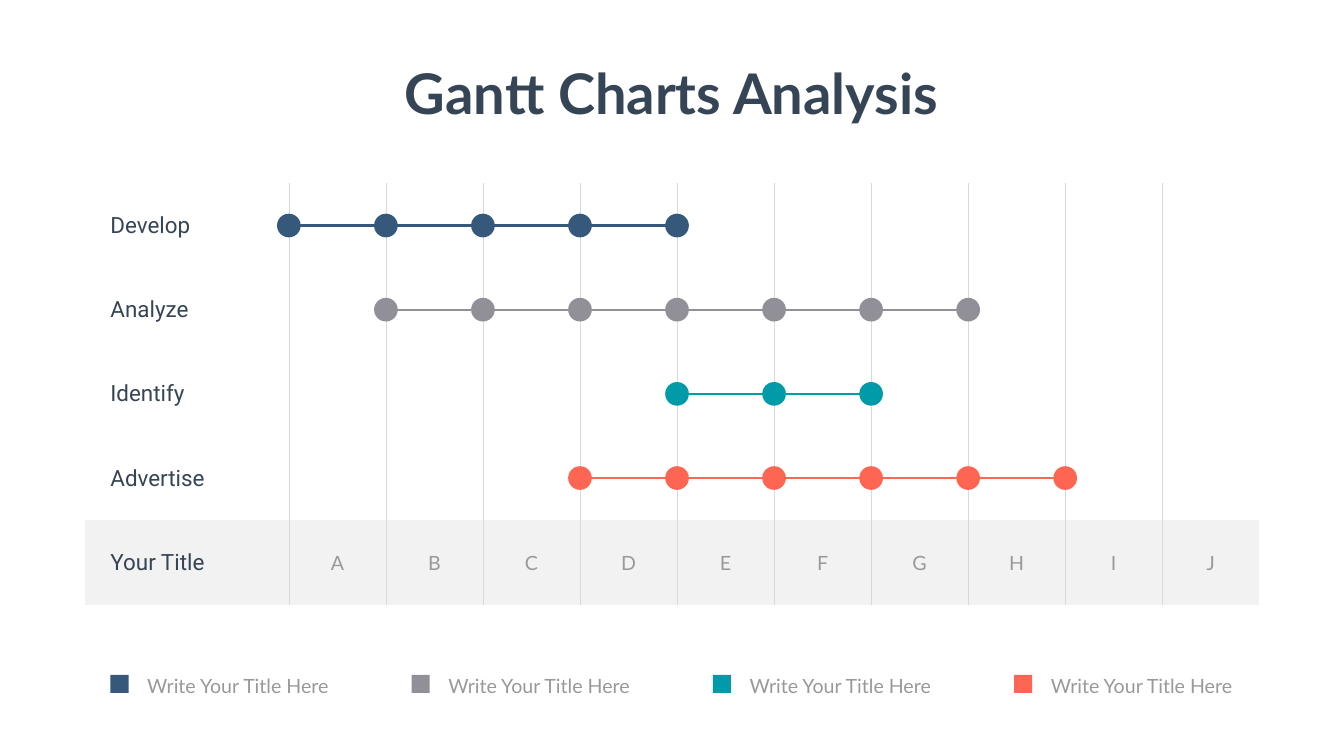
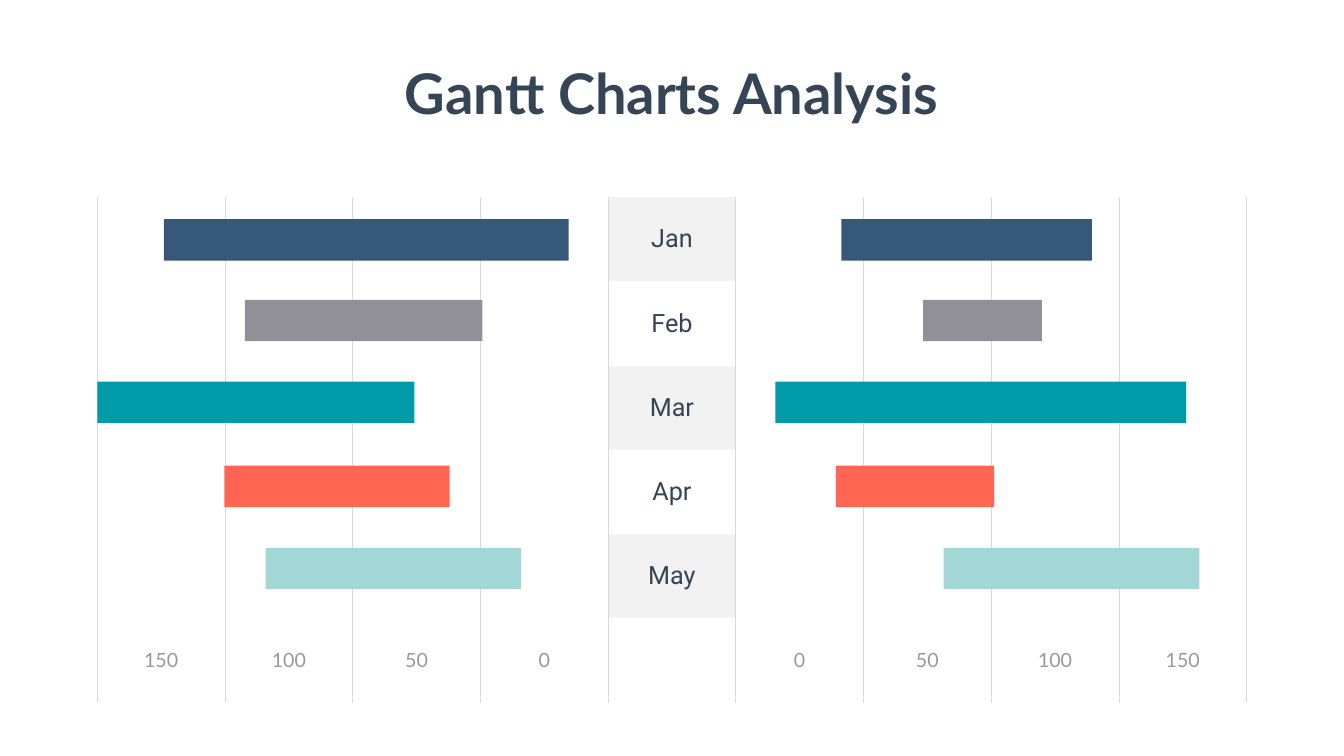
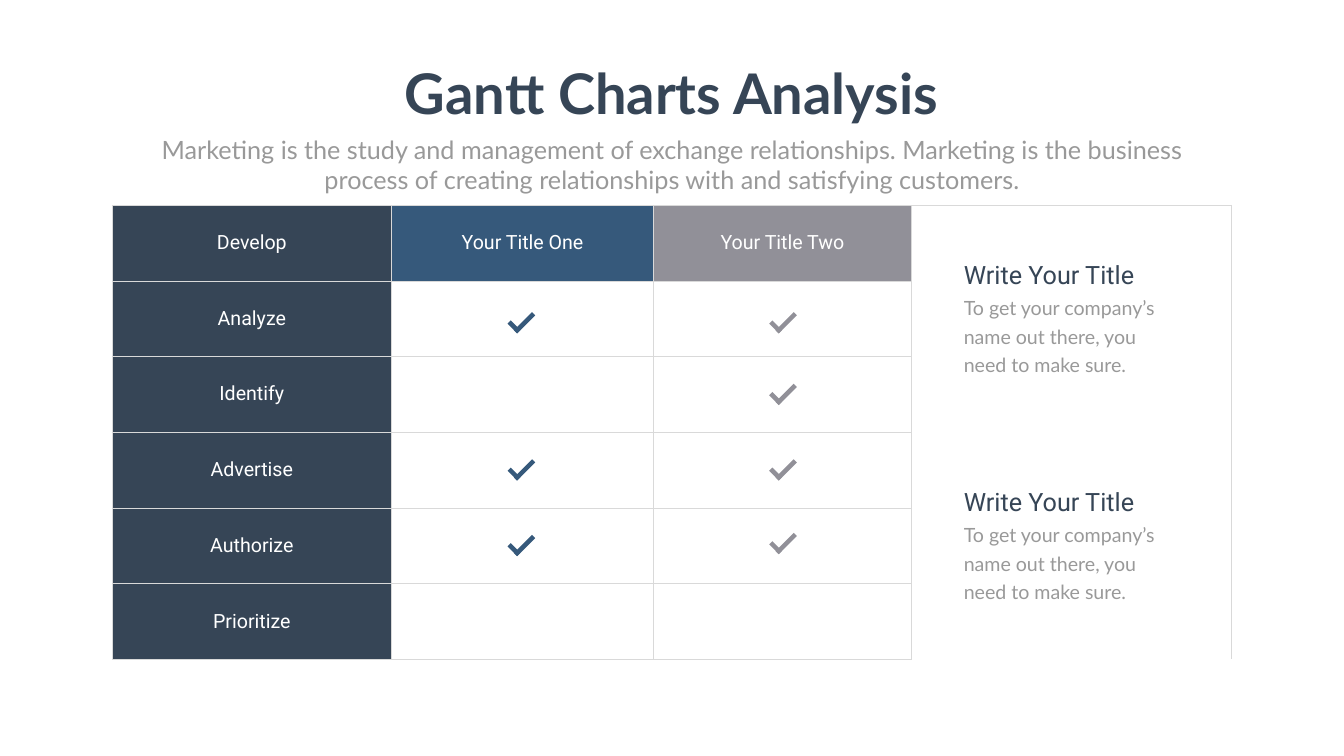
from dataclasses import dataclass

from pptx import Presentation
from pptx.dml.color import RGBColor
from pptx.enum.shapes import MSO_CONNECTOR, MSO_SHAPE
from pptx.enum.text import MSO_ANCHOR, MSO_AUTO_SIZE, PP_ALIGN
from pptx.oxml import parse_xml
from pptx.oxml.ns import nsdecls
from pptx.util import Inches, Pt


@dataclass(frozen=True)
class Theme:
    ink: str = "364556"
    gray: str = "999999"
    rule: str = "D9D9D9"
    band: str = "F2F2F2"
    white: str = "FFFFFF"
    navy: str = "36597B"
    stone: str = "919098"
    teal: str = "009AA8"
    coral: str = "FE6653"
    mint: str = "A3D7D7"
    sans: str = "Lato"
    label: str = "Roboto"
    title: int = 80
    large: int = 36
    mid: int = 32
    small: int = 28
    lead: float = 40.8


T = Theme()
HUES = [T.navy, T.stone, T.teal, T.coral, T.mint]


# ---- Text ----
def style(para, font, size, color, align=PP_ALIGN.LEFT, bold=False):
    para.alignment = align
    for run in para.runs:
        run.font.name = font
        run.font.size = Pt(size)
        run.font.bold = bold
        run.font.color.rgb = RGBColor.from_string(color)


def place(shape, left, top, width, height):
    shape.left, shape.top = Inches(left), Inches(top)
    shape.width, shape.height = Inches(width), Inches(height)


def add_text(slide, box, text, font, size, color, lead=None, inset=(0.1, 0.05)):
    frame = slide.shapes.add_textbox(*map(Inches, box)).text_frame
    frame.word_wrap = True
    frame.auto_size = MSO_AUTO_SIZE.SHAPE_TO_FIT_TEXT
    frame.margin_left = frame.margin_right = Inches(inset[0])
    frame.margin_top = frame.margin_bottom = Inches(inset[1])
    frame.text = text
    para = frame.paragraphs[0]
    if lead:
        para.line_spacing = Pt(lead)
    style(para, font, size, color)


def add_page(deck, layout):
    slide = deck.slides.add_slide(deck.slide_layouts[layout])
    title = slide.shapes.title
    place(title, 7.77, 1.12, 11.11, 1.45)
    frame = title.text_frame
    frame.text = "Gantt Charts Analysis"
    frame.word_wrap = False
    frame.auto_size = MSO_AUTO_SIZE.SHAPE_TO_FIT_TEXT
    frame.vertical_anchor = MSO_ANCHOR.TOP
    style(frame.paragraphs[0], T.sans, T.title, T.ink, PP_ALIGN.CENTER, True)
    return slide


def fill_body(slide, text):
    body = slide.placeholders[1]
    place(body, 2.92, 2.61, 20.82, 1.31)
    frame = body.text_frame
    frame.text = text
    frame.auto_size = MSO_AUTO_SIZE.NONE
    para = frame.paragraphs[0]
    props = para._p.get_or_add_pPr()
    props.set("marL", "0")
    props.set("indent", "0")
    props.append(parse_xml(f"<a:buNone {nsdecls('a')}/>"))
    para.space_before = Pt(0)
    style(para, T.sans, T.large, T.gray, PP_ALIGN.CENTER)


# ---- Shapes ----
def add_form(slide, kind, box, color, turn=0):
    shape = slide.shapes.add_shape(kind, *map(Inches, box))
    shape.shadow.inherit = False
    shape.fill.solid()
    shape.fill.fore_color.rgb = RGBColor.from_string(color)
    shape.line.fill.background()
    shape.rotation = turn


def add_line(slide, start, end, y, color):
    line = slide.shapes.add_connector(
        MSO_CONNECTOR.STRAIGHT, Inches(start), Inches(y), Inches(end), Inches(y))
    line.line.color.rgb = RGBColor.from_string(color)
    line.line.width = Pt(3)
    line._element.spPr.append(parse_xml(f"<a:effectLst {nsdecls('a')}/>"))


def add_check(slide, x, y, color):
    add_form(slide, MSO_SHAPE.RECTANGLE, (x, y + 0.08, 0.27, 0.09), color, 45)
    add_form(slide, MSO_SHAPE.RECTANGLE, (x + 0.09, y, 0.51, 0.09), color, 135)


# ---- Tables ----
def add_grid(slide, box, rows, widths):
    table = slide.shapes.add_table(rows, len(widths), *map(Inches, box)).table
    table.first_row = table.horz_banding = False
    for col, width in zip(table.columns, widths):
        col.width = Inches(width)
    for row in table.rows:
        row.height = Inches(box[3] / rows)
    return table


def paint(cell, fill, sides):
    cell.fill.solid()
    cell.fill.fore_color.rgb = RGBColor.from_string(fill)
    props = cell._tc.get_or_add_tcPr()
    for i, side in enumerate("LRTB"):
        ink = "<a:noFill/>"
        if side in sides:
            ink = f'<a:solidFill><a:srgbClr val="{T.rule}"/></a:solidFill>'
        props.insert(i, parse_xml(
            f'<a:ln{side} {nsdecls("a")} w="12700">{ink}</a:ln{side}>'))


def write(cell, text, font, size, color, align=PP_ALIGN.CENTER):
    cell.text = text
    cell.vertical_anchor = MSO_ANCHOR.MIDDLE
    style(cell.text_frame.paragraphs[0], font, size, color, align)


# ---- Slides ----
def dot_page(deck):
    slide = add_page(deck, 5)
    left, top, first, step, high = 1.69, 3.64, 4.04, 1.925, 1.67
    tasks = ["Develop", "Analyze", "Identify", "Advertise", "Your Title"]
    table = add_grid(slide, (left, top, 23.29, 8.36), 5, [first] + [step] * 10)
    for r, task in enumerate(tasks):
        for c in range(11):
            sides = "R" if c == 0 else "L" if c == 10 else "LR"
            paint(table.cell(r, c), T.band if r == 4 else T.white, sides)
        head = table.cell(r, 0)
        write(head, task, T.label, T.mid, T.ink, PP_ALIGN.LEFT)
        head.margin_left = Inches(0.5)
    for c, mark in enumerate("ABCDEFGHIJ", 1):
        write(table.cell(4, c), mark, T.sans, T.small, T.gray)

    # Dots sit on the column rules, from the first to the last of each task
    size = 0.47
    for r, (start, end) in enumerate([(0, 4), (1, 7), (4, 6), (3, 8)]):
        y = top + high * (r + 0.5)
        spots = [left + first + step * i for i in range(start, end + 1)]
        add_line(slide, spots[0], spots[-1], y, HUES[r])
        for x in spots:
            add_form(slide, MSO_SHAPE.OVAL,
                     (x - size / 2, y - size / 2, size, size), HUES[r])

    # Legend
    for i, color in enumerate(HUES[:4]):
        x = 2.19 + 5.975 * i
        add_form(slide, MSO_SHAPE.RECTANGLE, (x, 13.39, 0.36, 0.36), color)
        add_text(slide, (x + 0.49, 13.15, 4.25, 0.75), "Write Your Title Here",
                 T.sans, T.small, T.gray, T.lead, (0.24, 0.12))


def bar_page(deck):
    slide = add_page(deck, 5)
    table = add_grid(slide, (1.93, 3.91, 22.8, 10.03), 6, [22.8 / 9] * 9)
    for r in range(6):
        for c in range(9):
            shade = c == 4 and r in (0, 2, 4)
            paint(table.cell(r, c), T.band if shade else T.white, "LR")
    for r, month in enumerate(["Jan", "Feb", "Mar", "Apr", "May"]):
        write(table.cell(r, 4), month, T.label, T.large, T.ink)
    for i, tick in enumerate(["0", "50", "100", "150"]):
        for c in (3 - i, 5 + i):
            write(table.cell(5, c), tick, T.sans, T.small, T.gray)

    # Top, then left and width of the bar on each side
    bars = [
        (4.35, (3.25, 8.03), (16.69, 4.97)),
        (5.95, (4.86, 4.71), (18.31, 2.36)),
        (7.57, (1.93, 6.29), (15.38, 8.15)),
        (9.24, (4.45, 4.47), (16.58, 3.14)),
        (10.87, (5.27, 5.07), (18.72, 5.07)),
    ]
    for (y, *pair), color in zip(bars, HUES):
        for x, width in pair:
            add_form(slide, MSO_SHAPE.RECTANGLE, (x, y, width, 0.82), color)


def check_page(deck):
    slide = add_page(deck, 1)
    fill_body(slide, "Marketing is the study and management of exchange "
              "relationships. Marketing is the business process of creating "
              "relationships with and satisfying customers.")
    table = add_grid(slide, (2.22, 4.07, 22.21, 9.01), 6, [5.55, 5.19, 5.12, 6.34])
    tasks = ["Develop", "Analyze", "Identify", "Advertise", "Authorize", "Prioritize"]
    for r, task in enumerate(tasks):
        top = [T.ink, T.navy, T.stone]
        for c, fill in enumerate(top if r == 0 else [T.ink, T.white, T.white]):
            paint(table.cell(r, c), fill, "LRTB")
        edge = {0: "T", 5: "B"}.get(r, "")
        paint(table.cell(r, 3), T.white, "LR" + edge)
        write(table.cell(r, 0), task, T.label, T.small, T.white)
    for c, head in enumerate(["Your Title One", "Your Title Two"], 1):
        write(table.cell(0, c), head, T.label, T.small, T.white)
    for r in (0, 3):
        table.cell(r, 3).merge(table.cell(r + 2, 3))

    # Side notes
    for y in (5.09, 9.59):
        add_text(slide, (19.02, y + 0.64, 4.54, 1.77),
                 "To get your company’s name out there, you need to make sure.",
                 T.sans, T.small, T.gray, T.lead)
        add_text(slide, (19.02, y, 4.54, 0.71), "Write Your Title",
                 T.label, T.large, T.ink)

    # Check marks
    marks = [(10.06, T.navy, (6.36, 9.28, 10.78)),
             (15.25, T.stone, (6.36, 7.78, 9.28, 10.74))]
    for x, color, tops in marks:
        for y in tops:
            add_check(slide, x, y, color)


def main():
    deck = Presentation()
    deck.slide_width, deck.slide_height = Inches(26.66), Inches(15)
    dot_page(deck)
    bar_page(deck)
    check_page(deck)
    deck.save("out.pptx")


if __name__ == "__main__":
    main()
